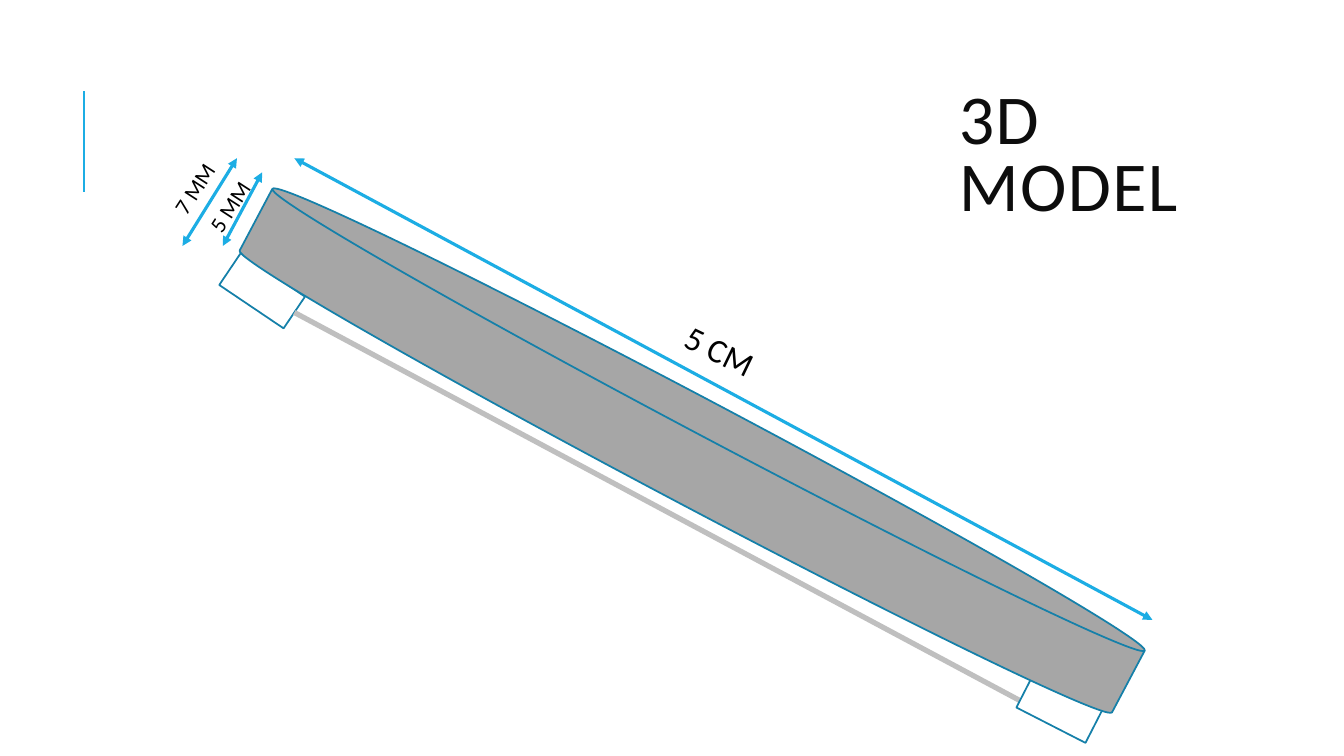
import pptx
import pptx.util
import pptx.dml.color
import pptx.enum.shapes
import pptx.enum.text
import pptx.oxml.ns
from lxml import etree

Inches = pptx.util.Inches
Pt = pptx.util.Pt
RGBColor = pptx.dml.color.RGBColor
MSO_SHAPE = pptx.enum.shapes.MSO_SHAPE
qn = pptx.oxml.ns.qn

BLUE = RGBColor(0x1C, 0xAD, 0xE4)
OUTLINE = RGBColor(0x15, 0x80, 0xA9)
GRAY = RGBColor(0xA6, 0xA6, 0xA6)
ROD_GRAY = RGBColor(0xBF, 0xBF, 0xBF)
WHITE = RGBColor(0xFF, 0xFF, 0xFF)
BLACK = RGBColor(0, 0, 0)
TITLE_COLOR = RGBColor(0x0D, 0x0D, 0x0D)

# Content: boxes are left, top, width, height; lines are x1, y1, x2, y2
TITLE = ("3D MODEL", (9.41, 0.84, 2.73, 1.45))
ACCENT = (0.83, 1.9, 0.83, 0.9)
LEFT_FOOT = ((2.41, 2.5, 0.38, 0.77), 304)
RIGHT_FOOT = ((10.32, 6.64, 0.38, 0.77), 297.1)
CYLINDER = ((1.97, 3.95, 9.79, 1.04), 27.9)
ROD = (2.92, 3.1, 10.19, 6.99)
DIMENSIONS = [  # label, label box, rotation, text size, arrow
    ("5 CM", (6.66, 3.19, 1.26, 0.77), 25.7, 24, (2.92, 1.57, 11.43, 6.15)),
    ("5 MM", (1.91, 1.84, 0.78, 0.4), 303, 16, (2.6, 1.71, 2.21, 2.44)),
    ("7 MM", (1.56, 1.66, 0.78, 0.4), 303, 16, (2.35, 1.57, 1.81, 2.44)),
]


def write(sp, text, size, color=BLACK, line_spacing=0.9, tracking=0):
    tf = sp.text_frame
    tf.word_wrap = True
    tf.auto_size = pptx.enum.text.MSO_AUTO_SIZE.NONE
    tf.vertical_anchor = pptx.enum.text.MSO_ANCHOR.MIDDLE
    tf.margin_right = 0
    p = tf.paragraphs[0]
    p.alignment = pptx.enum.text.PP_ALIGN.LEFT
    p.line_spacing = line_spacing
    r = p.add_run()
    r.text = text
    r.font.name = "Calibri"
    r.font.size = Pt(size)
    r.font.color.rgb = color
    if tracking:
        r.font._element.set("spc", str(tracking * 100))


def add_line(s, points, color, width, arrows=False):
    line = s.shapes.add_connector(
        pptx.enum.shapes.MSO_CONNECTOR.STRAIGHT, *map(Inches, points))
    line.line.color.rgb = color
    line.line.width = Pt(width)
    if arrows:
        ln = line.line._get_or_add_ln()
        for end in ("a:headEnd", "a:tailEnd"):
            etree.SubElement(ln, qn(end), type="triangle")
    etree.SubElement(line._element.spPr, qn("a:effectLst"))
    return line


def add_part(s, kind, box, rotation, fill):
    sp = s.shapes.add_shape(kind, *map(Inches, box))
    sp.rotation = rotation
    sp.shadow.inherit = False
    sp.fill.solid()
    sp.fill.fore_color.rgb = fill
    sp.line.color.rgb = OUTLINE
    sp.line.width = Pt(1.25)
    return sp


prs = pptx.Presentation()
prs.slide_width, prs.slide_height = Inches(13.33), Inches(7.5)
s = prs.slides.add_slide(prs.slide_layouts[5])

# Title and accent line
add_line(s, ACCENT, BLUE, 1.5)
title = s.shapes.title
title.left, title.top, title.width, title.height = map(Inches, TITLE[1])
write(title, TITLE[0], 50, TITLE_COLOR, line_spacing=0.8, tracking=1)

# Left foot and the rod that starts at its lower side
left_foot = add_part(s, MSO_SHAPE.RECTANGLE, *LEFT_FOOT, WHITE)
rod = add_line(s, ROD, ROD_GRAY, 3.75)
rod.begin_connect(left_foot, 2)
# The foot is rotated, so the start is set to the turned side
rod.begin_x, rod.begin_y = Inches(ROD[0]), Inches(ROD[1])

# Dimension arrows with their labels
for label, box, rotation, size, arrow in DIMENSIONS:
    add_line(s, arrow, BLUE, 2.25, arrows=True)
    tb = s.shapes.add_textbox(*map(Inches, box))
    tb.rotation = rotation
    write(tb, label, size)

# Right foot and cylinder
add_part(s, MSO_SHAPE.RECTANGLE, *RIGHT_FOOT, WHITE)
add_part(s, MSO_SHAPE.FLOWCHART_MAGNETIC_DISK, *CYLINDER, GRAY)

prs.save("out.pptx")
